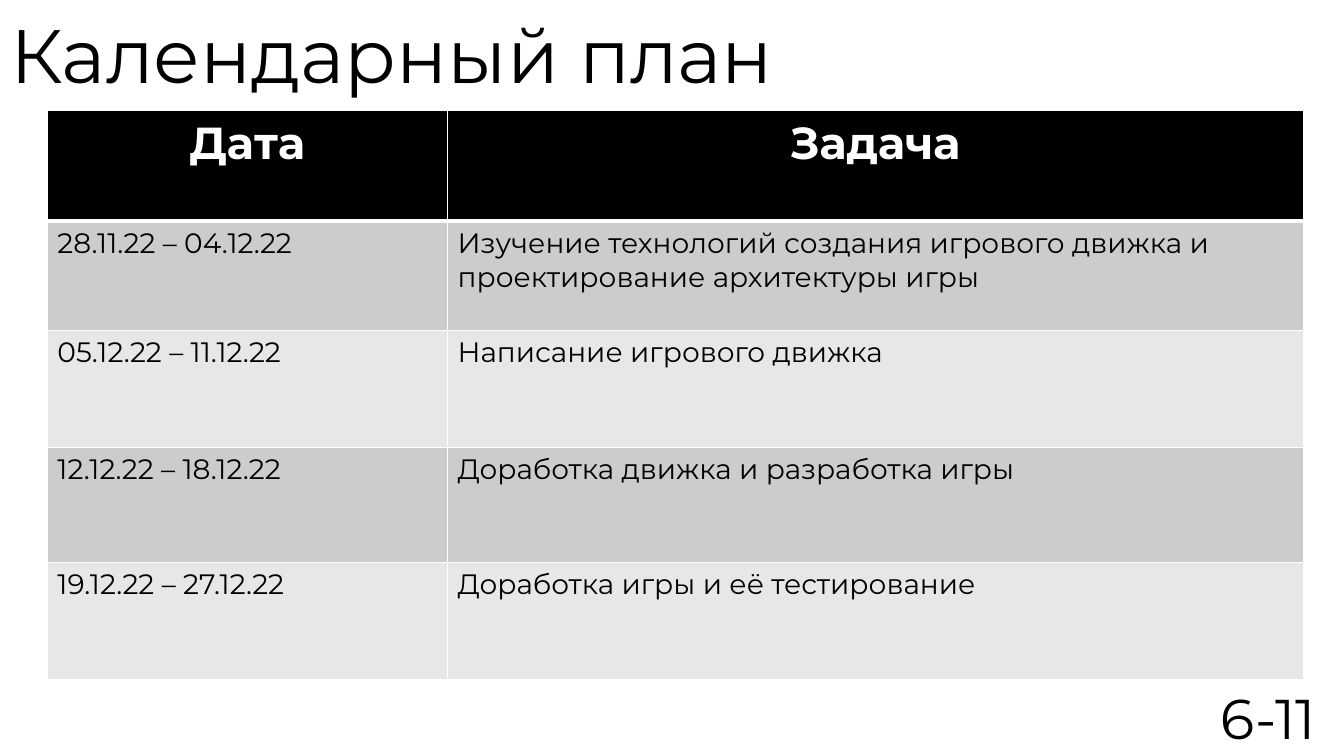
from lxml.etree import SubElement
from pptx import Presentation
from pptx.dml.color import RGBColor
from pptx.enum.text import MSO_ANCHOR, MSO_AUTO_SIZE, PP_ALIGN
from pptx.oxml.ns import qn
from pptx.util import Inches, Pt

BLACK = RGBColor(0x00, 0x00, 0x00)
WHITE = RGBColor(0xFF, 0xFF, 0xFF)
DARK_BAND = RGBColor(0xCC, 0xCC, 0xCC)
LIGHT_BAND = RGBColor(0xE7, 0xE7, 0xE7)

GRID_COLS, GRID_ROWS = 40, 24
COL_WIDTHS = (11.91, 25.47)
ROW_HEIGHTS = (3.49, 3.49, 3.71, 3.65, 3.71)
HEADER = ("Дата", "Задача")
TASKS = (
    ("28.11.22 – 04.12.22",
     "Изучение технологий создания игрового движка и проектирование архитектуры игры"),
    ("05.12.22 – 11.12.22", "Написание игрового движка"),
    ("12.12.22 – 18.12.22", "Доработка движка и разработка игры"),
    ("19.12.22 – 27.12.22", "Доработка игры и её тестирование"),
)


class PlanSlide:
    """Title-only slide whose lengths are columns and rows of a 40 by 24 grid."""

    font = "Montserrat"

    def __init__(self, prs):
        self.col = prs.slide_width / GRID_COLS
        self.row = prs.slide_height / GRID_ROWS
        self.slide = prs.slides.add_slide(prs.slide_layouts[5])

    def box(self, x, y, w, h):
        return (round(x * self.col), round(y * self.row),
                round(w * self.col), round(h * self.row))

    def set_text(self, tf, text, size, color=BLACK, align=PP_ALIGN.LEFT, bold=False):
        tf.text = text
        tf.word_wrap = True
        p = tf.paragraphs[0]
        p.alignment = align
        p.font.name, p.font.size, p.font.bold = self.font, Pt(size), bold
        p.font.color.rgb = color
        return p

    def title(self, text, x, y, w, h):
        sp = self.slide.shapes.title
        sp.left, sp.top, sp.width, sp.height = self.box(x, y, w, h)
        p = self.set_text(sp.text_frame, text, 54)
        p.line_spacing = 0.9
        sp.text_frame.auto_size = MSO_AUTO_SIZE.NONE
        sp.text_frame.vertical_anchor = MSO_ANCHOR.MIDDLE

    def label(self, text, x, y, w, h):
        tf = self.slide.shapes.add_textbox(*self.box(x, y, w, h)).text_frame
        self.set_text(tf, text, 40, align=PP_ALIGN.CENTER)
        tf.vertical_anchor = MSO_ANCHOR.MIDDLE

    def borders(self, cell, top, bottom):
        """Draw white cell edges; top and bottom are widths in points."""
        tc_pr = cell._tc.get_or_add_tcPr()
        edges = (("L", 1), ("R", 1), ("T", top), ("B", bottom))
        for i, (side, width) in enumerate(edges):
            ln = SubElement(tc_pr, qn(f"a:ln{side}"), w=str(Pt(width)))
            fill = SubElement(ln, qn("a:solidFill"))
            SubElement(fill, qn("a:srgbClr"), val=str(WHITE))
            tc_pr.insert(i, ln)

    def table(self, rows, x, y):
        frame = self.slide.shapes.add_table(
            len(rows), len(COL_WIDTHS),
            *self.box(x, y, sum(COL_WIDTHS), sum(ROW_HEIGHTS)))
        tbl = frame.table
        for column, width in zip(tbl.columns, COL_WIDTHS):
            column.width = round(width * self.col)
        for i, (texts, height) in enumerate(zip(rows, ROW_HEIGHTS)):
            tbl.rows[i].height = round(height * self.row)
            for j, text in enumerate(texts):
                cell = tbl.cell(i, j)
                cell.fill.solid()
                if i == 0:
                    cell.fill.fore_color.rgb = BLACK
                    self.set_text(cell.text_frame, text, 32, WHITE, PP_ALIGN.CENTER, True)
                else:
                    cell.fill.fore_color.rgb = DARK_BAND if i % 2 else LIGHT_BAND
                    self.set_text(cell.text_frame, text, 20)
                self.borders(cell, top=3 if i == 1 else 1, bottom=3 if i == 0 else 1)


def main():
    prs = Presentation()
    prs.slide_width, prs.slide_height = Inches(13.33), Inches(7.5)
    plan = PlanSlide(prs)
    plan.title("Календарный план", 0, 0, 34.5, 3.74)
    plan.table((HEADER, *TASKS), 1.41, 3.52)
    plan.label("6-11", 35.5, 21.5, 4.5, 2.5)
    prs.save("out.pptx")


if __name__ == "__main__":
    main()
